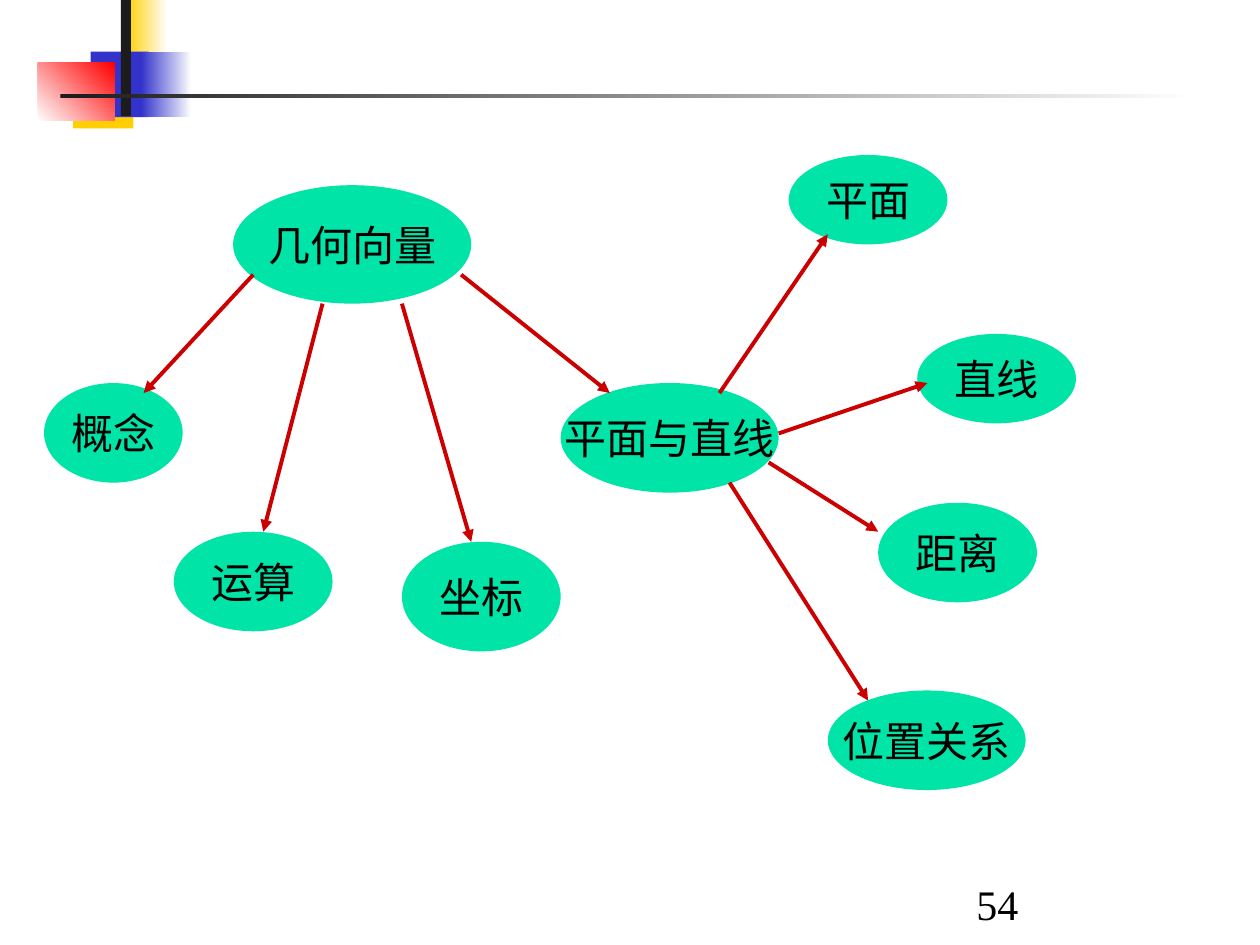
from typing import NamedTuple, Optional

from lxml.etree import SubElement
from pptx import Presentation
from pptx.dml.color import RGBColor
from pptx.enum.shapes import MSO_CONNECTOR, MSO_SHAPE
from pptx.enum.text import MSO_ANCHOR, PP_ALIGN
from pptx.oxml.ns import qn
from pptx.util import Inches, Pt

BLACK = RGBColor(0x00, 0x00, 0x00)
WHITE = RGBColor(0xFF, 0xFF, 0xFF)
CHARCOAL = RGBColor(0x1C, 0x1C, 0x1C)
YELLOW = RGBColor(0xFF, 0xCF, 0x01)
BLUE = RGBColor(0x33, 0x33, 0xCC)
RED = RGBColor(0xFF, 0x00, 0x00)
GREEN = RGBColor(0x00, 0xE4, 0xA8)
ARROW_RED = RGBColor(0xCC, 0x00, 0x00)

FONT = "Times New Roman"


class Block(NamedTuple):
    left: float
    top: float
    width: float
    height: float
    color: RGBColor
    fade_to: Optional[RGBColor] = None
    angle: int = 0


class Topic(NamedTuple):
    text: str
    left: float
    top: float
    width: float
    height: float


class Arrow(NamedTuple):
    start_x: float
    start_y: float
    end_x: float
    end_y: float


BLOCKS = [
    Block(0.58, 0.5, 0.48, 0.52, YELLOW),
    Block(1, 0, 0.33, 0.47, YELLOW, WHITE),
    Block(0.72, 0.41, 0.46, 0.52, BLUE),
    Block(1.12, 0.41, 0.4, 0.52, BLUE, WHITE),
    Block(0.3, 0.5, 0.61, 0.46, WHITE, RED, 45),
    Block(0.96, 0, 0.08, 0.92, CHARCOAL),
    Block(0.48, 0.75, 9, 0.03, CHARCOAL, WHITE),
]

TOPICS = [
    Topic("几何向量", 1.85, 1.47, 1.89, 0.94),
    Topic("概念", 0.35, 3.04, 1.1, 0.79),
    Topic("运算", 1.38, 4.22, 1.26, 0.79),
    Topic("坐标", 3.19, 4.3, 1.26, 0.87),
    Topic("平面与直线", 4.45, 3.04, 1.73, 0.87),
    Topic("平面", 6.26, 1.23, 1.26, 0.71),
    Topic("直线", 7.28, 2.65, 1.26, 0.71),
    Topic("距离", 6.97, 3.99, 1.26, 0.79),
    Topic("位置关系", 6.57, 5.48, 1.57, 0.79),
]

ARROWS = [
    Arrow(2.01, 2.18, 1.14, 3.12),
    Arrow(2.56, 2.41, 2.09, 4.22),
    Arrow(3.19, 2.41, 3.74, 4.3),
    Arrow(3.66, 2.18, 4.84, 3.12),
    Arrow(5.71, 3.12, 6.57, 1.86),
    Arrow(6.18, 3.44, 7.36, 3.04),
    Arrow(6.1, 3.67, 6.97, 4.22),
    Arrow(5.79, 3.83, 6.89, 5.56),
]


def add_plain_shape(page, kind: MSO_SHAPE, left: float, top: float,
                    width: float, height: float):
    """Add a shape with neither outline nor shadow."""
    shape = page.shapes.add_shape(
        kind, Inches(left), Inches(top), Inches(width), Inches(height))
    shape.shadow.inherit = False
    shape.line.fill.background()
    return shape


def write_centred(frame, text: str) -> None:
    frame.word_wrap = False
    para = frame.paragraphs[0]
    para.text = text
    para.alignment = PP_ALIGN.CENTER
    para.font.name = FONT
    para.font.size = Pt(24)
    para.font.color.rgb = BLACK


def draw_block(page, block: Block) -> None:
    shape = add_plain_shape(page, MSO_SHAPE.RECTANGLE, *block[:4])
    if block.fade_to is None:
        shape.fill.solid()
        shape.fill.fore_color.rgb = block.color
        return
    shape.fill.gradient()
    shape.fill.gradient_angle = block.angle
    first, last = shape.fill.gradient_stops
    first.position, last.position = 0, 1
    first.color.rgb = block.color
    last.color.rgb = block.fade_to


def draw_topic(page, topic: Topic) -> None:
    shape = add_plain_shape(page, MSO_SHAPE.OVAL, *topic[1:])
    shape.fill.solid()
    shape.fill.fore_color.rgb = GREEN
    shape.text_frame.vertical_anchor = MSO_ANCHOR.MIDDLE
    write_centred(shape.text_frame, topic.text)


def draw_arrow(page, arrow: Arrow) -> None:
    connector = page.shapes.add_connector(
        MSO_CONNECTOR.STRAIGHT, *(Inches(value) for value in arrow))
    connector.line.color.rgb = ARROW_RED
    connector.line.width = Pt(2.25)
    SubElement(connector.line._get_or_add_ln(), qn("a:tailEnd"),
               type="triangle")
    SubElement(connector._element.spPr, qn("a:effectLst"))


def main() -> None:
    deck = Presentation()
    deck.slide_width, deck.slide_height = Inches(10), Inches(7.5)
    page = deck.slides.add_slide(deck.slide_layouts[6])
    for block in BLOCKS:
        draw_block(page, block)
    for topic in TOPICS:
        draw_topic(page, topic)
    for arrow in ARROWS:
        draw_arrow(page, arrow)
    page_number = page.shapes.add_textbox(
        Inches(7.65), Inches(6.92), Inches(0.53), Inches(0.5))
    write_centred(page_number.text_frame, "54")
    deck.save("out.pptx")


if __name__ == "__main__":
    main()
